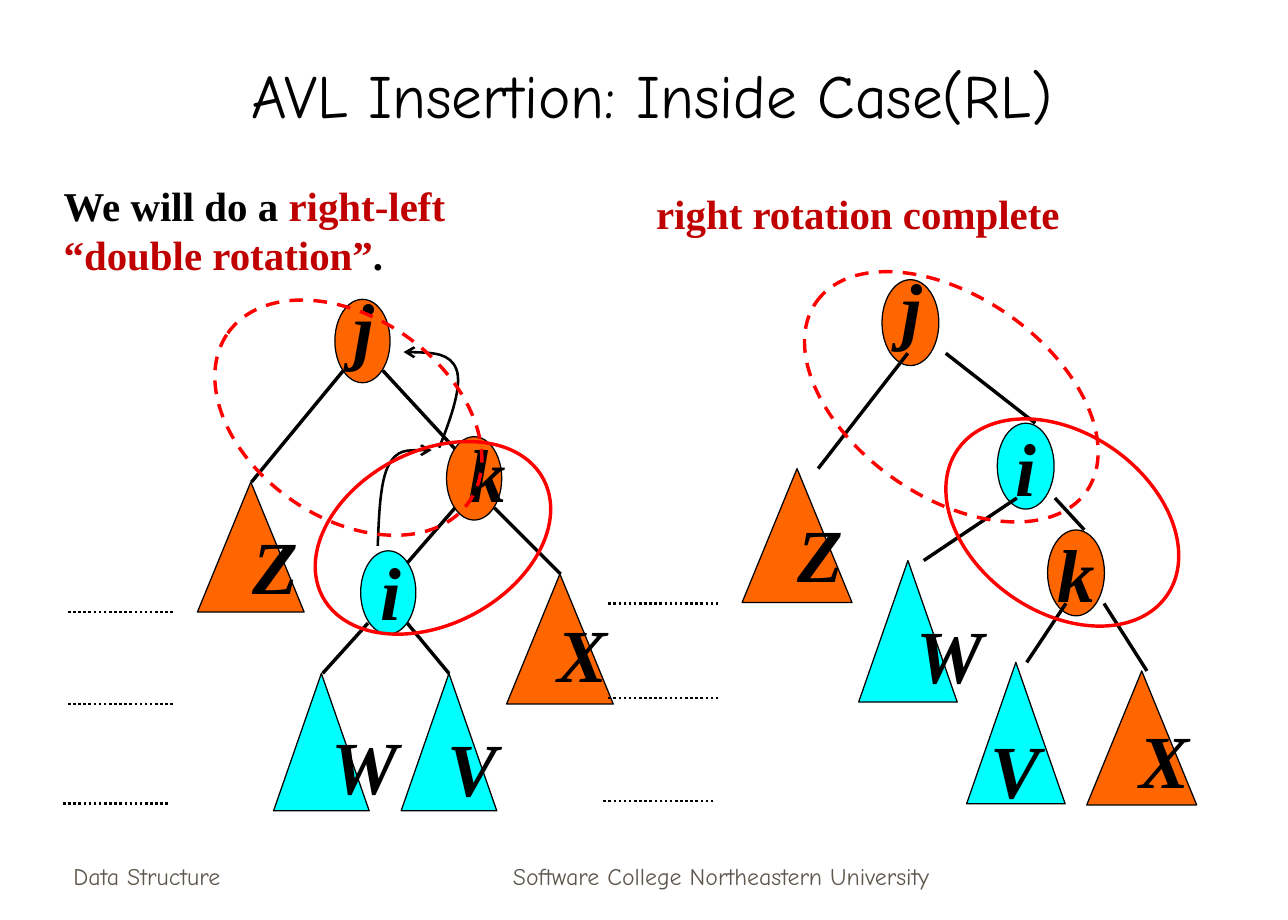
"""Build the slide on the AVL right-left double rotation."""
from dataclasses import dataclass

from lxml import etree
from pptx import Presentation
from pptx import util as u
from pptx.dml.color import RGBColor
from pptx.enum import dml, shapes, text
from pptx.oxml import ns

COLUMNS, ROWS = 105, 75
SLIDE_WIDTH, SLIDE_HEIGHT = u.Inches(10.5), u.Inches(7.5)
Point = tuple[float, float]
Box = tuple[float, float, float, float]
Line = tuple[Point, Point]
Run = tuple[str, str]


@dataclass(frozen=True)
class Theme:
    """Fonts, type sizes, line widths and colours."""
    hand: str = "Comic Neue"
    serif: str = "Times New Roman"
    title_size: float = 36
    letter_size: float = 44
    note_size: float = 24
    footer_size: float = 14
    outline: float = 0.75
    thin: float = 1.5
    thick: float = 2
    black: str = "000000"
    footer: str = "5E574E"
    accent: str = "C00000"
    ring: str = "FF0000"
    orange: str = "FF6600"
    cyan: str = "00FFFF"


THEME = Theme()


@dataclass(frozen=True)
class Style:
    """Typeface of a piece of text."""
    font: str
    size: float
    bold: bool = False
    italic: bool = False


LETTER = Style(THEME.serif, THEME.letter_size, True, True)
NOTE = Style(THEME.serif, THEME.note_size, True)
FOOTER = Style(THEME.hand, THEME.footer_size)
TITLE = Style(THEME.hand, THEME.title_size)


@dataclass(frozen=True)
class Kind:
    """Outline and size of a tree member, in columns and rows."""
    preset: shapes.MSO_SHAPE
    width: float
    height: float


NODE = Kind(shapes.MSO_SHAPE.OVAL, 4.5, 6.8)
WIDE = Kind(shapes.MSO_SHAPE.ISOSCELES_TRIANGLE, 8.7, 10.6)
NARROW = Kind(shapes.MSO_SHAPE.ISOSCELES_TRIANGLE, 7.8, 11.2)


@dataclass(frozen=True)
class Member:
    """Node or subtree; a letter without a place sits inside its shape."""
    letter: str
    kind: Kind
    fill: str
    corner: Point
    letter_at: Point | None = None


@dataclass(frozen=True)
class Ring:
    """Red ellipse around the pair being rotated."""
    box: Box
    turn: float
    dashed: bool = False


@dataclass(frozen=True)
class Tree:
    """One stage of the rotation."""
    scale: float
    members: list[Member]
    edges: list[Line]
    level_left: float
    level_rows: list[float]
    rings: list[Ring]
    arrows: list[list[Point]]


BEFORE = Tree(
    1,
    [Member("j", NODE, THEME.orange, (27.3, 24.4), (27.8, 22.5)),
     Member("k", NODE, THEME.orange, (36.4, 35.6), (37.2, 34.4)),
     Member("X", WIDE, THEME.orange, (41.3, 46.8), (44.5, 49)),
     Member("V", NARROW, THEME.cyan, (32.7, 54.9), (35.5, 58.3)),
     Member("Z", WIDE, THEME.orange, (16.1, 39.3), (19.6, 41.9)),
     Member("W", NARROW, THEME.cyan, (22.3, 54.9), (26, 58.2)),
     Member("i", NODE, THEME.cyan, (29.4, 44.9), (30, 44))],
    [((31.2, 30.2), (37.1, 36.6)), ((40.3, 41.4), (45.7, 46.8)),
     ((37.1, 41.4), (33.2, 45.9)), ((28, 30.2), (20.5, 39.3)),
     ((33.2, 50.8), (36.6, 54.9)), ((30, 50.8), (26.3, 54.9))],
    5.4, [49.9, 57.4, 65.5],
    [Ring((25.1, 36.8, 20.4, 14.1), 332), Ring((16.4, 25.9, 24, 16.3), 35, True)],
    [[(30.8, 44.5), (30.9, 41.9), (31, 39.2), (31.7, 37.9), (32.4, 36.6), (33.8, 36.7), (35.2, 36.7)],
     [(35.8, 36.5), (36.8, 34), (37.7, 31.4), (37.2, 30.1), (36.7, 28.8), (34.8, 28.7), (32.9, 28.7)]])

AFTER = Tree(
    1.03,
    [Member("j", NODE, THEME.orange, (71.9, 22.8), (72.5, 20.8)),
     Member("k", NODE, THEME.orange, (85.4, 43.2)),
     Member("X", WIDE, THEME.orange, (88.6, 54.7), (91.9, 57.7)),
     Member("V", NARROW, THEME.cyan, (78.8, 54)),
     Member("Z", WIDE, THEME.orange, (60.5, 38.2), (64, 40.9)),
     Member("W", NARROW, THEME.cyan, (70, 45.7), (73.7, 49.1)),
     Member("i", NODE, THEME.cyan, (81.3, 34.5))],
    [((77.1, 28.8), (84.4, 34.5)), ((90, 49.2), (93.5, 54.7)),
     ((86.9, 49.2), (83.7, 54)), ((74, 28.8), (66.7, 38.2)),
     ((82.9, 40.6), (75.3, 45.7)), ((86, 40.6), (88.4, 43.2))],
    49.6, [49.2, 56.9, 65.3],
    [Ring((76.2, 35.3, 20.8, 14.6), 35), Ring((64.1, 24.2, 26.9, 16.3), 35, True)],
    [])


def x(columns: float) -> int:
    """Turn grid columns into a length."""
    return round(columns * SLIDE_WIDTH / COLUMNS)


def y(rows: float) -> int:
    """Turn grid rows into a length."""
    return round(rows * SLIDE_HEIGHT / ROWS)


def place(box: Box) -> Box:
    """Turn a grid box into lengths."""
    return x(box[0]), y(box[1]), x(box[2]), y(box[3])


def write(frame, paragraphs: list[list[Run]], style: Style, align=text.PP_ALIGN.LEFT,
          anchor=text.MSO_ANCHOR.TOP, wrap: bool = True) -> None:
    """Fill a text frame run by run."""
    frame.auto_size = text.MSO_AUTO_SIZE.NONE
    frame.word_wrap, frame.vertical_anchor = wrap, anchor
    frame.margin_left = frame.margin_right = u.Inches(0.1)
    frame.margin_top = frame.margin_bottom = u.Inches(0.05)
    for index, runs in enumerate(paragraphs):
        paragraph = frame.add_paragraph() if index else frame.paragraphs[0]
        paragraph.alignment = align
        for words, colour in runs:
            run = paragraph.add_run()
            run.text = words
            run.font.name, run.font.size = style.font, u.Pt(style.size)
            run.font.bold, run.font.italic = style.bold, style.italic
            run.font.color.rgb = RGBColor.from_string(colour)


def add_text(slide, box: Box, paragraphs: list[list[Run]], style: Style, **layout) -> None:
    """Add a text box on the grid."""
    write(slide.shapes.add_textbox(*place(box)).text_frame, paragraphs, style, **layout)


def set_line(shape, colour: str, width: float, dash=None) -> None:
    """Give a shape or connector its stroke."""
    shape.line.color.rgb = RGBColor.from_string(colour)
    shape.line.width = u.Pt(width)
    if dash is not None:
        shape.line.dash_style = dash


def add_line(slide, line: Line, width: float, dash=None) -> None:
    """Draw a straight black line."""
    (x1, y1), (x2, y2) = line
    connector = slide.shapes.add_connector(shapes.MSO_CONNECTOR.STRAIGHT, x(x1), y(y1), x(x2), y(y2))
    set_line(connector, THEME.black, width, dash)
    etree.SubElement(connector._element.spPr, ns.qn("a:effectLst"))


def add_member(slide, member: Member, scale: float) -> None:
    """Draw a node or subtree with its letter."""
    size = member.kind.width * scale, member.kind.height * scale
    shape = slide.shapes.add_shape(member.kind.preset, *place((*member.corner, *size)))
    shape.shadow.inherit = False
    shape.fill.solid()
    shape.fill.fore_color.rgb = RGBColor.from_string(member.fill)
    set_line(shape, THEME.black, THEME.outline)
    letter = [[(member.letter, THEME.black)]]
    if member.letter_at:
        add_text(slide, (*member.letter_at, 2.8, 8.4), letter, LETTER)
    else:
        write(shape.text_frame, letter, LETTER, text.PP_ALIGN.CENTER, text.MSO_ANCHOR.MIDDLE, False)


def add_ring(slide, ring: Ring) -> None:
    """Draw a red ellipse without fill."""
    shape = slide.shapes.add_shape(shapes.MSO_SHAPE.OVAL, *place(ring.box))
    shape.shadow.inherit = False
    shape.fill.background()
    shape.rotation = ring.turn
    set_line(shape, THEME.ring, THEME.thick, dml.MSO_LINE.DASH if ring.dashed else None)


def add_arrow(slide, points: list[Point]) -> None:
    """Draw a curved arrow from a start and triples of Bezier points."""
    start, *others = [(x(column), y(row)) for column, row in points]
    builder = slide.shapes.build_freeform(*start)
    builder.add_line_segments(others, close=False)
    shape = builder.convert_to_shape()
    shape.shadow.inherit = False
    shape.fill.background()
    set_line(shape, THEME.black, THEME.thin)
    stroke = shape._element.spPr.find(ns.qn("a:ln"))
    etree.SubElement(stroke, ns.qn("a:tailEnd"), type="arrow")
    segments = list(shape._element.iter(ns.qn("a:lnTo")))
    outline = segments[0].getparent()
    for first in range(0, len(segments), 3):
        curve = etree.SubElement(outline, ns.qn("a:cubicBezTo"))
        for segment in segments[first:first + 3]:
            curve.append(segment[0])
            outline.remove(segment)


def add_tree(slide, tree: Tree) -> None:
    """Draw one stage of the rotation."""
    for member in tree.members:
        add_member(slide, member, tree.scale)
    for edge in tree.edges:
        add_line(slide, edge, THEME.thick)
    for row, shift in zip(tree.level_rows, (0, 0, -0.4)):
        left = tree.level_left + shift
        add_line(slide, ((left + 8.7 * tree.scale, row), (left, row)), THEME.thin, dml.MSO_LINE.ROUND_DOT)
    for arrow in tree.arrows:
        add_arrow(slide, arrow)
    for ring in tree.rings:
        add_ring(slide, ring)


def main() -> None:
    """Build and save the slide."""
    presentation = Presentation()
    presentation.slide_width, presentation.slide_height = SLIDE_WIDTH, SLIDE_HEIGHT
    slide = presentation.slides.add_slide(presentation.slide_layouts[5])
    title = slide.shapes.title
    title.left, title.top, title.width, title.height = place((8.3, 3.3, 89.7, 7.9))
    center, bottom = text.PP_ALIGN.CENTER, text.MSO_ANCHOR.BOTTOM
    write(title.text_frame, [[("AVL Insertion: Inside Case(RL)", THEME.black)]], TITLE, center, bottom)
    add_text(slide, (5, 68.1, 21.9, 5), [[("Data Structure", THEME.footer)]], FOOTER, anchor=bottom)
    add_text(slide, (35.9, 68.1, 45.8, 5), [[("Software College Northeastern University", THEME.footer)]],
             FOOTER, align=center, anchor=bottom)
    add_text(slide, (4.2, 14.2, 65.8, 9),
             [[("We will do a ", THEME.black), ("right-left", THEME.accent)],
              [("“double rotation”", THEME.accent), (".", THEME.black)]], NOTE)
    add_tree(slide, BEFORE)
    add_text(slide, (52.5, 14.9, 34.9, 5), [[("right rotation complete", THEME.accent)]], NOTE, wrap=False)
    add_tree(slide, AFTER)
    presentation.save("out.pptx")


if __name__ == "__main__":
    main()
